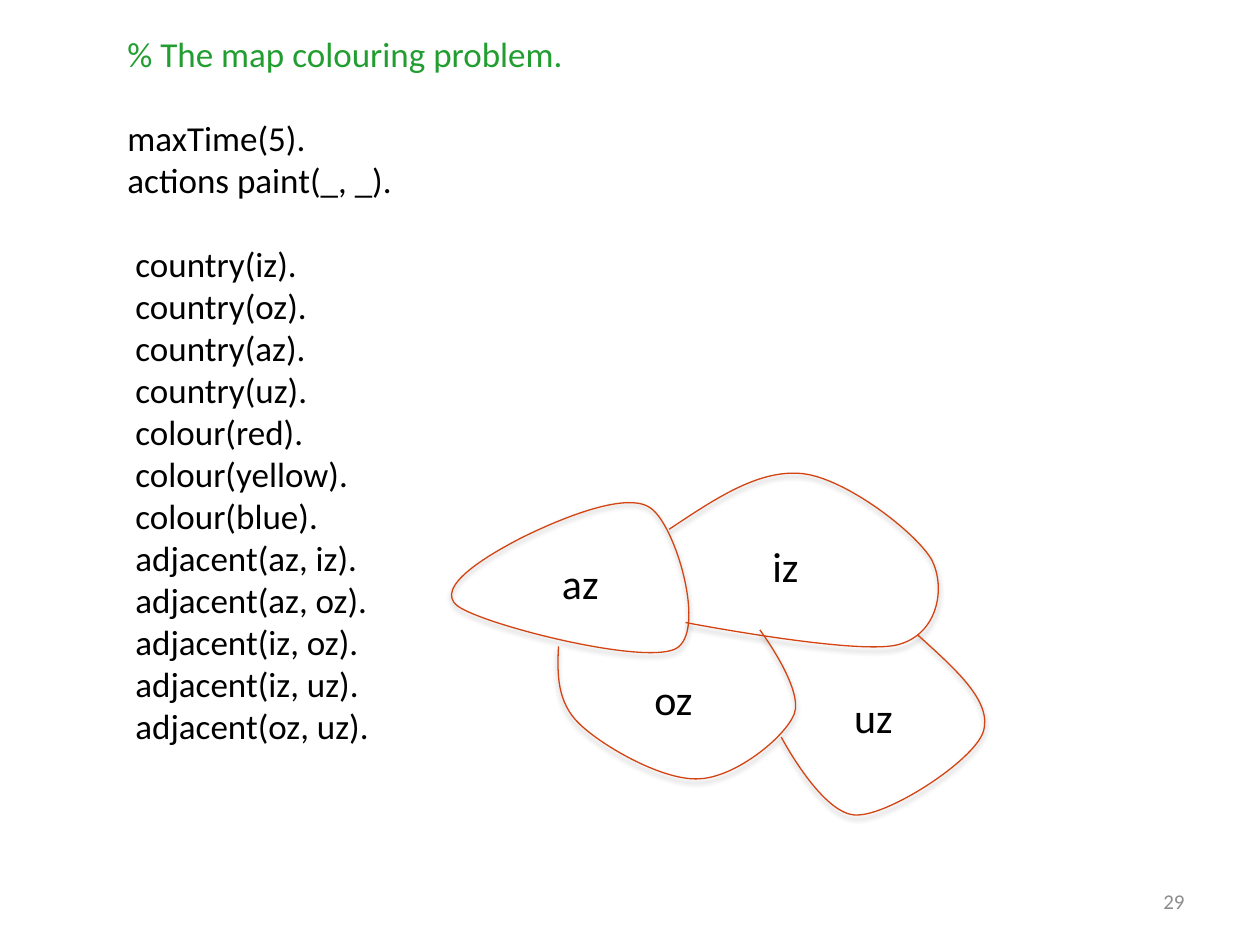
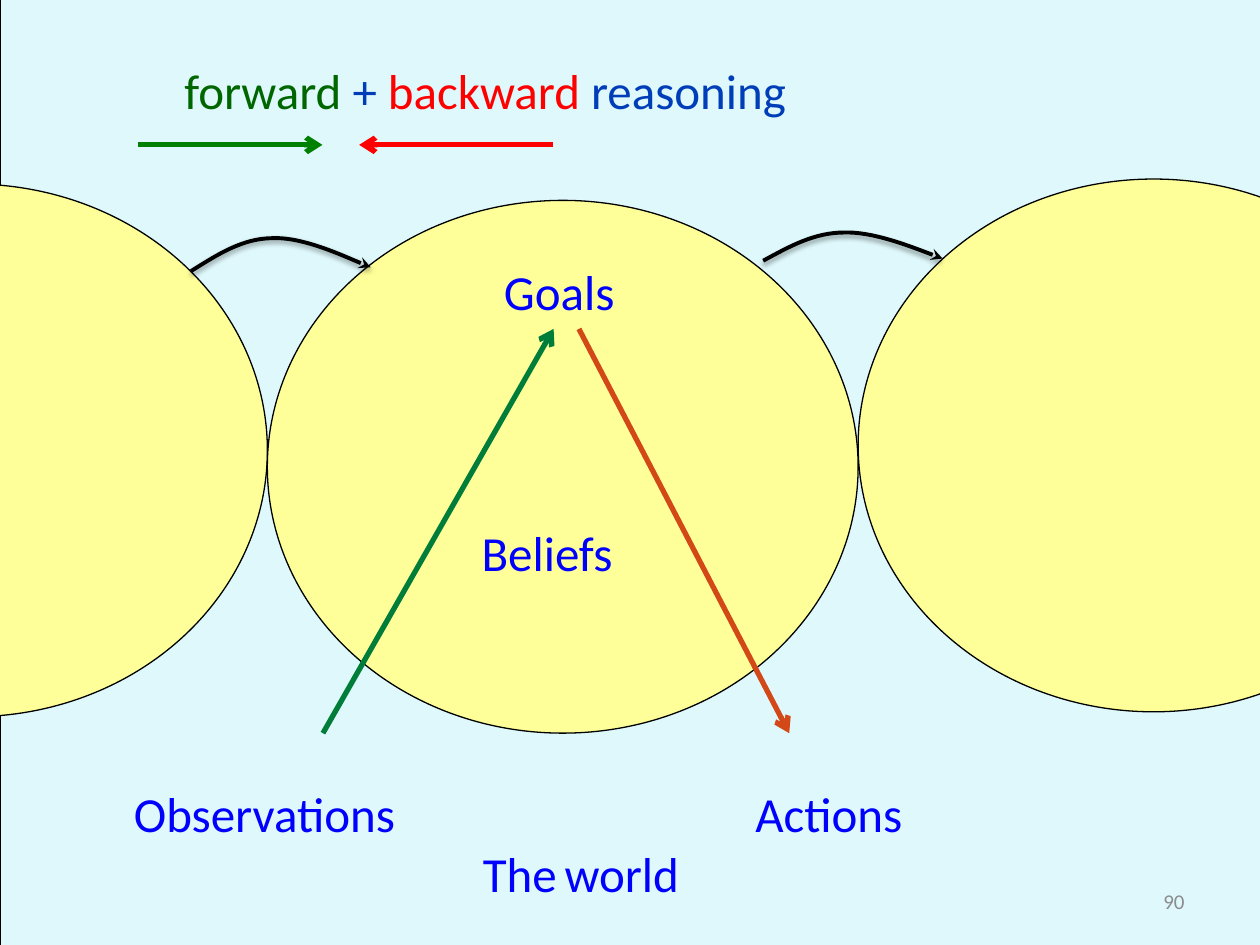
from dataclasses import dataclass

from lxml import etree
from pptx import Presentation
from pptx.dml.color import RGBColor
from pptx.enum.shapes import MSO_CONNECTOR, MSO_SHAPE
from pptx.enum.text import MSO_ANCHOR, PP_ALIGN
from pptx.oxml.ns import qn
from pptx.util import Cm, Pt

STRAIGHT = MSO_CONNECTOR.STRAIGHT
RECTANGLE, OVAL = MSO_SHAPE.RECTANGLE, MSO_SHAPE.OVAL
TOP, MIDDLE = MSO_ANCHOR.TOP, MSO_ANCHOR.MIDDLE
LEFT, CENTER, RIGHT = PP_ALIGN.LEFT, PP_ALIGN.CENTER, PP_ALIGN.RIGHT


@dataclass(frozen=True)
class Theme:
    font: str = "Calibri"
    black: str = "000000"
    page_grey: str = "8C8C8C"
    comment_green: str = "229E31"
    border: str = "D34412"
    sky: str = "B7F1F7"
    circle: str = "FFFF99"
    label_blue: str = "0000FF"
    title_blue: str = "003DB8"
    forward_text: str = "006600"
    forward_arrow: str = "008000"
    backward: str = "FF0000"
    upward: str = "007E39"
    downward: str = "D34817"
    page_size: int = 12
    code_size: int = 20
    country_size: int = 24
    label_size: int = 28


THEME = Theme()


@dataclass(frozen=True)
class Box:
    """A rectangle in centimetres."""
    left: float
    top: float
    width: float
    height: float

    def inner(self, x, y, width, height):
        return Box(self.left + x, self.top + y, width, height)

    def point(self, x, y):
        return Cm(self.left + x), Cm(self.top + y)

    def lengths(self):
        return [Cm(value) for value in (self.left, self.top, self.width, self.height)]


def format_paragraph(paragraph, runs, size, color, align=LEFT, spacing=None, before=0, indent=0):
    """Fill a paragraph; each run is (text, colour or None, size or None)."""
    paragraph.alignment = align
    paragraph.line_spacing = spacing
    paragraph.space_before = Pt(before)
    if indent:
        paragraph._p.get_or_add_pPr().set("marL", str(Cm(indent)))
    for text, run_color, run_size in runs:
        run = paragraph.add_run()
        run.text = text
        run.font.name = THEME.font
        run.font.size = Pt(run_size or size)
        run.font.color.rgb = RGBColor.from_string(run_color or color)


def add_text(slide, box, text, size, color=THEME.black, anchor=TOP, wrap=True, **paragraph_format):
    """Add a text box; text is a string or a list of runs."""
    frame = slide.shapes.add_textbox(*box.lengths()).text_frame
    frame.word_wrap = wrap
    frame.vertical_anchor = anchor
    runs = [(text, None, None)] if isinstance(text, str) else text
    format_paragraph(frame.paragraphs[0], runs, size, color, **paragraph_format)
    return frame


def set_line(shape, color, width, arrowhead=None):
    shape.line.color.rgb = RGBColor.from_string(color)
    shape.line.width = Pt(width)
    if arrowhead:
        outline = shape.element.spPr.find(qn("a:ln"))
        etree.SubElement(outline, qn("a:tailEnd"), type=arrowhead)


def add_filled_shape(slide, kind, box, fill, opacity=None):
    shape = slide.shapes.add_shape(kind, *box.lengths())
    shape.shadow.inherit = False
    shape.fill.solid()
    shape.fill.fore_color.rgb = RGBColor.from_string(fill)
    set_line(shape, THEME.black, 0.75)
    if opacity:
        color = shape.element.spPr.find(qn("a:solidFill"))[0]
        etree.SubElement(color, qn("a:alpha"), val=str(opacity * 1000))


def add_arrow(slide, box, start, end, color):
    arrow = slide.shapes.add_connector(STRAIGHT, *box.point(*start), *box.point(*end))
    set_line(arrow, color, 3, "arrow")
    etree.SubElement(arrow.element.spPr, qn("a:effectLst"))


def bend_path(shape, box, knots):
    """Turn the straight segments into cubic curves measured from the corner of the box."""
    path = shape.element.spPr.find(".//" + qn("a:path"))
    path.set("w", str(Cm(box.width)))
    path.set("h", str(Cm(box.height)))
    closing = path.find(qn("a:close"))
    path[:] = []
    commands = [("a:moveTo", knots[:1])]
    commands += [("a:cubicBezTo", knots[i:i + 3]) for i in range(1, len(knots), 3)]
    for tag, points in commands:
        command = etree.SubElement(path, qn(tag))
        for x, y in points:
            etree.SubElement(command, qn("a:pt"), x=str(Cm(x)), y=str(Cm(y)))
    if closing is not None:
        path.append(closing)


def add_curve(slide, box, knots, color, width, shadow_opacity, arrowhead=None):
    """Draw curves in the box: knots are a start, then two controls and an end for each."""
    builder = slide.shapes.build_freeform(*box.point(*knots[0]))
    ends = [box.point(*knot) for knot in knots[3::3]]
    builder.add_line_segments(ends, close=knots[0] == knots[-1])
    shape = builder.convert_to_shape()
    shape.left, shape.top, shape.width, shape.height = box.lengths()
    bend_path(shape, box, knots)
    shape.fill.background()
    set_line(shape, color, width, arrowhead)
    shape.shadow.inherit = False
    shadow = etree.SubElement(
        shape.element.spPr.find(qn("a:effectLst")), qn("a:outerShdw"),
        blurRad=str(Pt(3.1)), dist=str(Pt(1.8)), dir="5400000", rotWithShape="0")
    shadow_color = etree.SubElement(shadow, qn("a:srgbClr"), val=THEME.black)
    etree.SubElement(shadow_color, qn("a:alpha"), val=str(shadow_opacity * 1000))
    return shape


def add_page_number(slide, number):
    add_text(slide, Box(18.21, 17.65, 5.92, 1.02), str(number), THEME.page_size,
             THEME.page_grey, anchor=MIDDLE, align=RIGHT)


def add_program(slide, box):
    line_height = 24
    settings = ["maxTime(5).", "actions paint(_, _)."]
    facts = [f"country({name})." for name in ("iz", "oz", "az", "uz")]
    facts += [f"colour({name})." for name in ("red", "yellow", "blue")]
    facts += [f"adjacent({pair})." for pair in ("az, iz", "az, oz", "iz, oz", "iz, uz", "oz, uz")]
    frame = add_text(slide, box, "% The map colouring problem.", THEME.code_size,
                     THEME.comment_green)
    for group, indent in ((settings, 0), (facts, 0.16)):
        for index, line in enumerate(group):
            format_paragraph(frame.add_paragraph(), [(line, None, None)], THEME.code_size,
                             THEME.black, before=0 if index else line_height, indent=indent)


def add_map(slide, box):
    borders = [
        ((0, 0.58, 4.78, 3.02),
         [(1.4, 1.3), (0.76, 1.63), (-0.38, 2.29), (0.13, 2.67),
          (0.66, 3.05), (3.86, 3.86), (4.52, 3.53),
          (5.16, 3.2), (4.52, 1.02), (4.01, 0.69),
          (3.51, 0.33), (2.06, 0.97), (1.4, 1.3)]),
        ((4.39, 0, 5.41, 3.48),
         [(4.39, 1.12), (5.31, 0.51), (6.2, -0.1), (7.09, 0),
          (7.95, 0.1), (9.35, 1.17), (9.68, 1.73),
          (9.98, 2.31), (9.8, 3.25), (8.99, 3.45),
          (8.15, 3.66), (4.72, 3), (4.72, 3)]),
        ((2.16, 3.15, 4.8, 3),
         [(2.16, 3.48), (2.13, 4.04), (2.13, 4.62), (2.59, 5.05),
          (3.07, 5.51), (4.29, 6.2), (5, 6.15),
          (5.72, 6.12), (6.71, 5.33), (6.91, 4.85),
          (7.11, 4.34), (6.22, 3.15), (6.22, 3.15)]),
        ((6.65, 3.25, 4.06, 3.63),
         [(9.4, 3.25), (10.16, 3.94), (10.92, 4.6), (10.72, 5.21),
          (10.52, 5.79), (8.84, 6.88), (8.18, 6.88),
          (7.49, 6.91), (6.65, 5.31), (6.65, 5.31)]),
    ]
    for country, border in borders:
        left, top = country[:2]
        knots = [(x - left, y - top) for x, y in border]
        add_curve(slide, box.inner(*country), knots, THEME.border, 0.75, shadow_opacity=35)
    for name, x, y, width in (("uz", 7.87, 4.27, 1.75), ("oz", 3.84, 3.91, 1.75),
                              ("az", 1.98, 1.57, 2.18), ("iz", 6.22, 1.22, 1.75)):
        add_text(slide, box.inner(x, y, width, 1.27), name, THEME.country_size)


def add_reasoning_title(slide, box):
    runs = [("forward", THEME.forward_text, None), (" + ", None, None),
            ("backward", THEME.backward, None), (" reasoning", None, None)]
    add_text(slide, box, runs, THEME.label_size, THEME.title_blue, anchor=MIDDLE,
             spacing=1.2, indent=4.54)
    add_arrow(slide, box, (3.86, 2.76), (7.57, 2.76), THEME.forward_arrow)
    add_arrow(slide, box, (12.22, 2.76), (8.31, 2.76), THEME.backward)


def add_agent_cycle(slide, box):
    """Draw the middle circle in the box, its neighbours, and the reasoning inside it."""
    for x, y in ((-box.width, -0.33), (box.width, -0.43), (0, 0)):
        add_filled_shape(slide, OVAL, box.inner(x, y, box.width, box.height), THEME.circle)

    label_format = {"size": THEME.label_size, "color": THEME.label_blue,
                    "spacing": 0.8, "before": 5.6}
    for text, x, y, width in (("Observations", -2.94, 11.86, 6.45), ("Actions", 9.59, 11.86, 6.45),
                              ("Goals", 4.52, 1.34, 3.61), ("Beliefs", 4.07, 6.6, 6.45)):
        add_text(slide, box.inner(x, y, width, 1.24), text, **label_format)
    world = [("The", None, None), (" ", None, THEME.code_size), ("world", None, None)]
    add_text(slide, box.inner(4.07, 13.06, 4.5, 1.24), world, wrap=False, align=CENTER,
             **label_format)

    add_arrow(slide, box, (1.12, box.height), (5.77, 2.59), THEME.upward)
    add_arrow(slide, box, (6.28, 2.59), (10.52, box.height), THEME.downward)
    hop = [(0, 0.98), (0.51, 0.53), (1, 0.08), (1.61, 0.04),
           (2.21, -0.03), (3.61, 0.66), (3.61, 0.66)]
    for x, y, height in ((-1.52, 0.74, 0.79), (10.01, 0.63, 0.69)):
        knots = [(across, down * height) for across, down in hop]
        curve = add_curve(slide, box.inner(x, y, 3.61, height), knots, THEME.black, 2.25, 38,
                          "stealth")
        curve.rotation = 2.8


def build_map_slide(slide):
    add_page_number(slide, 29)
    add_program(slide, Box(2.32, 0.53, 22.2, 15.57))
    add_map(slide, Box(9.1, 9.55, 10.72, 6.88))


def build_reasoning_slide(slide):
    add_filled_shape(slide, RECTANGLE, Box(0, -0.28, 25.78, 19.79), THEME.sky, opacity=44)
    add_page_number(slide, 90)
    add_agent_cycle(slide, Box(5.39, 4.04, 11.91, 10.74))
    add_reasoning_title(slide, Box(-1.07, 0.16, 26.47, 3.05))


def main():
    presentation = Presentation()
    presentation.slide_width, presentation.slide_height = Cm(25.4), Cm(19.05)
    for build_slide in (build_map_slide, build_reasoning_slide):
        build_slide(presentation.slides.add_slide(presentation.slide_layouts[6]))
    presentation.save("out.pptx")


if __name__ == "__main__":
    main()
